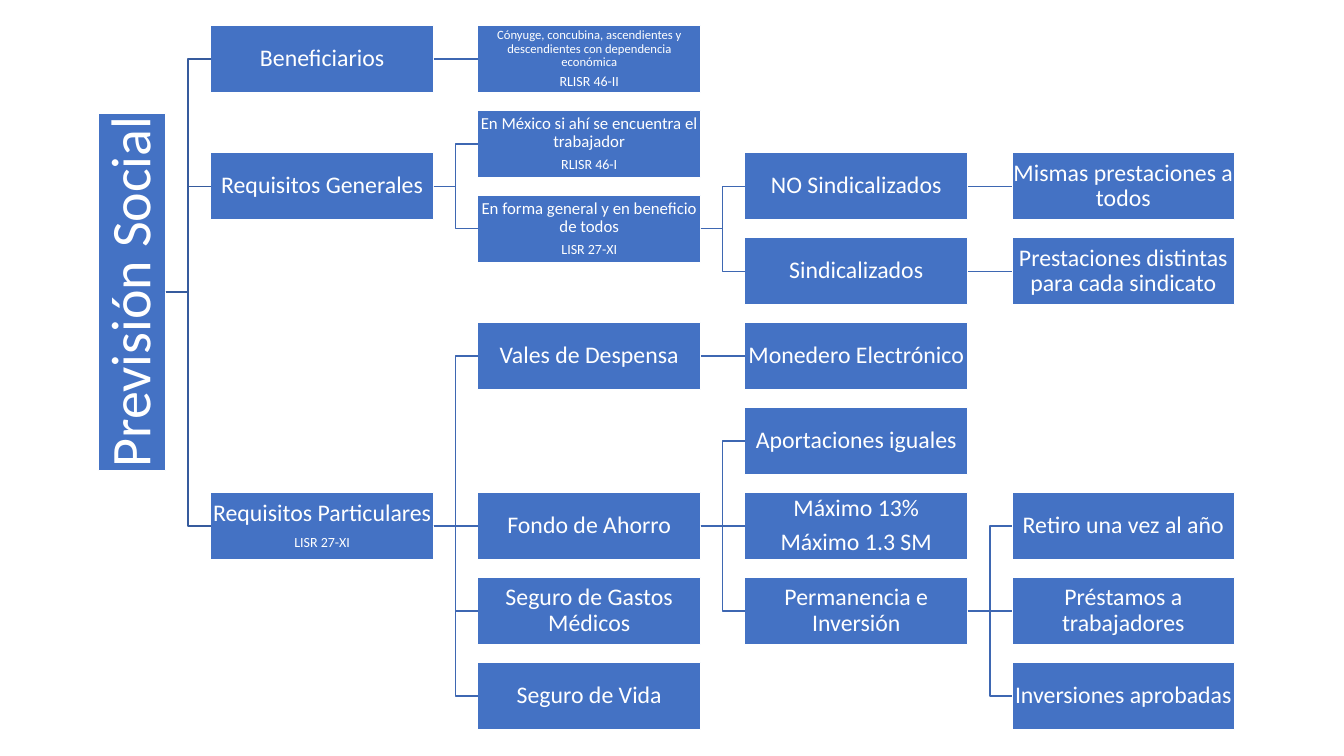
from pptx import Presentation
from pptx.dml.color import RGBColor
from pptx.enum.shapes import MSO_CONNECTOR, MSO_SHAPE
from pptx.enum.text import MSO_ANCHOR, MSO_AUTO_SIZE, PP_ALIGN
from pptx.oxml.ns import qn
from pptx.util import Cm, Pt
from lxml.etree import SubElement

BLUE = RGBColor(0x44, 0x72, 0xC4)
ROOT_LINE = RGBColor(0x36, 0x5B, 0x9D)
BRANCH_LINE = RGBColor(0x3E, 0x67, 0xB2)
WHITE = RGBColor(0xFF, 0xFF, 0xFF)

# Grid: column by depth, row by number (halves centre a parent on its children)
LEFT, TOP = 5.31, 0.64
COLUMN_STEP, ROW_STEP = 6.73, 2.14
BOX_WIDTH, BOX_HEIGHT = 5.62, 1.69
ROOT_LENGTH, ROOT_X, ROOT_Y = 9, 3.33, 7.36

# Each node: row, [(text, size), ...], children
BRANCHES = [
    (0, [("Beneficiarios", 17)], [
        (0, [("Cónyuge, concubina, ascendientes y descendientes con dependencia económica", 9),
             ("RLISR 46-II", 10)], []),
    ]),
    (1.5, [("Requisitos Generales", 17)], [
        (1, [("En México si ahí se encuentra el trabajador", 12), ("RLISR 46-I", 10)], []),
        (2, [("En forma general y en beneficio de todos", 12), ("LISR 27-XI", 10)], [
            (1.5, [("NO Sindicalizados", 17)], [
                (1.5, [("Mismas prestaciones a todos", 17)], []),
            ]),
            (2.5, [("Sindicalizados", 17)], [
                (2.5, [("Prestaciones distintas para cada sindicato", 17)], []),
            ]),
        ]),
    ]),
    (5.5, [("Requisitos Particulares", 17), ("LISR 27-XI", 10)], [
        (3.5, [("Vales de Despensa", 17)], [
            (3.5, [("Monedero Electrónico", 17)], []),
        ]),
        (5.5, [("Fondo de Ahorro", 17)], [
            (4.5, [("Aportaciones iguales", 17)], []),
            (5.5, [("Máximo 13%", 17), ("Máximo 1.3 SM", 17)], []),
            (6.5, [("Permanencia e Inversión", 17)], [
                (5.5, [("Retiro una vez al año", 17)], []),
                (6.5, [("Préstamos a trabajadores", 17)], []),
                (7.5, [("Inversiones aprobadas", 17)], []),
            ]),
        ]),
        (6.5, [("Seguro de Gastos Médicos", 17)], []),
        (7.5, [("Seguro de Vida", 17)], []),
    ]),
]


class TreePage:
    """Holds the style and the current slide."""

    def __init__(self, page):
        self.page = page
        self.frame_format = {"word_wrap": True, "auto_size": MSO_AUTO_SIZE.NONE,
                             "vertical_anchor": MSO_ANCHOR.MIDDLE}
        self.font_format = {"name": "Calibri", "bold": False}

    def apply(self, target, formats):
        for name, value in formats.items():
            setattr(target, name, value)

    def fill_box(self, box, lines, margin):
        box.fill.solid()
        box.fill.fore_color.rgb = BLUE
        box.line.color.rgb = WHITE
        box.line.width = Pt(1)
        frame = box.text_frame
        sides = ("left", "top", "right", "bottom")
        margins = {f"margin_{side}": Cm(margin) for side in sides}
        self.apply(frame, {**self.frame_format, **margins})
        for index, (text, size) in enumerate(lines):
            para = frame.add_paragraph() if index else frame.paragraphs[0]
            self.apply(para, {"alignment": PP_ALIGN.CENTER, "line_spacing": 0.9,
                              "space_before": Pt(0), "space_after": Pt(0.35 * size)})
            span = para.add_run()
            span.text = text
            self.apply(span.font, {**self.font_format, "size": Pt(size)})
            span.font.color.rgb = WHITE

    def root(self, text):
        title = self.page.shapes.title
        self.apply(title, {"left": Cm(ROOT_X - ROOT_LENGTH / 2),
                           "top": Cm(ROOT_Y - BOX_HEIGHT / 2),
                           "width": Cm(ROOT_LENGTH), "height": Cm(BOX_HEIGHT),
                           "rotation": 270})
        self.fill_box(title, [(text, 40)], 0.07)

    def node(self, column, row, lines):
        box = self.page.shapes.add_shape(
            MSO_SHAPE.RECTANGLE, Cm(LEFT + column * COLUMN_STEP),
            Cm(TOP + row * ROW_STEP), Cm(BOX_WIDTH), Cm(BOX_HEIGHT))
        box.shadow.inherit = False
        self.fill_box(box, lines, 0.02)
        return box

    def straight(self, parent, child):
        line = self.page.shapes.add_connector(MSO_CONNECTOR.STRAIGHT, 0, 0, 0, 0)
        line.begin_connect(parent, 3)
        line.end_connect(child, 1)
        line.line.color.rgb = BRANCH_LINE
        line.line.width = Pt(1)
        SubElement(line._element.spPr, qn("a:effectLst"))

    def elbow(self, start_x, start_y, child, color):
        end_x, end_y = child.left, child.top + child.height // 2
        middle = (start_x + end_x) // 2
        builder = self.page.shapes.build_freeform(start_x, start_y)
        builder.add_line_segments(
            [(middle, start_y), (middle, end_y), (end_x, end_y)], close=False)
        line = builder.convert_to_shape()
        line.fill.background()
        line.shadow.inherit = False
        line.line.color.rgb = color
        line.line.width = Pt(1)

    def branch(self, column, row, lines, children):
        parent = self.node(column, row, lines)
        for child_row, child_lines, grandchildren in children:
            child = self.branch(column + 1, child_row, child_lines, grandchildren)
            if child_row == row:
                self.straight(parent, child)
            else:
                self.elbow(parent.left + parent.width, parent.top + parent.height // 2,
                           child, BRANCH_LINE)
        return parent


def main():
    deck = Presentation()
    deck.slide_width, deck.slide_height = Cm(33.87), Cm(19.05)
    tree = TreePage(deck.slides.add_slide(deck.slide_layouts[5]))

    # Root, turned to read upwards
    tree.root("Previsión Social")

    # Branches and their links to the root
    for row, lines, children in BRANCHES:
        box = tree.branch(0, row, lines, children)
        tree.elbow(Cm(ROOT_X + BOX_HEIGHT / 2), Cm(ROOT_Y), box, ROOT_LINE)

    deck.save("out.pptx")


if __name__ == "__main__":
    main()
